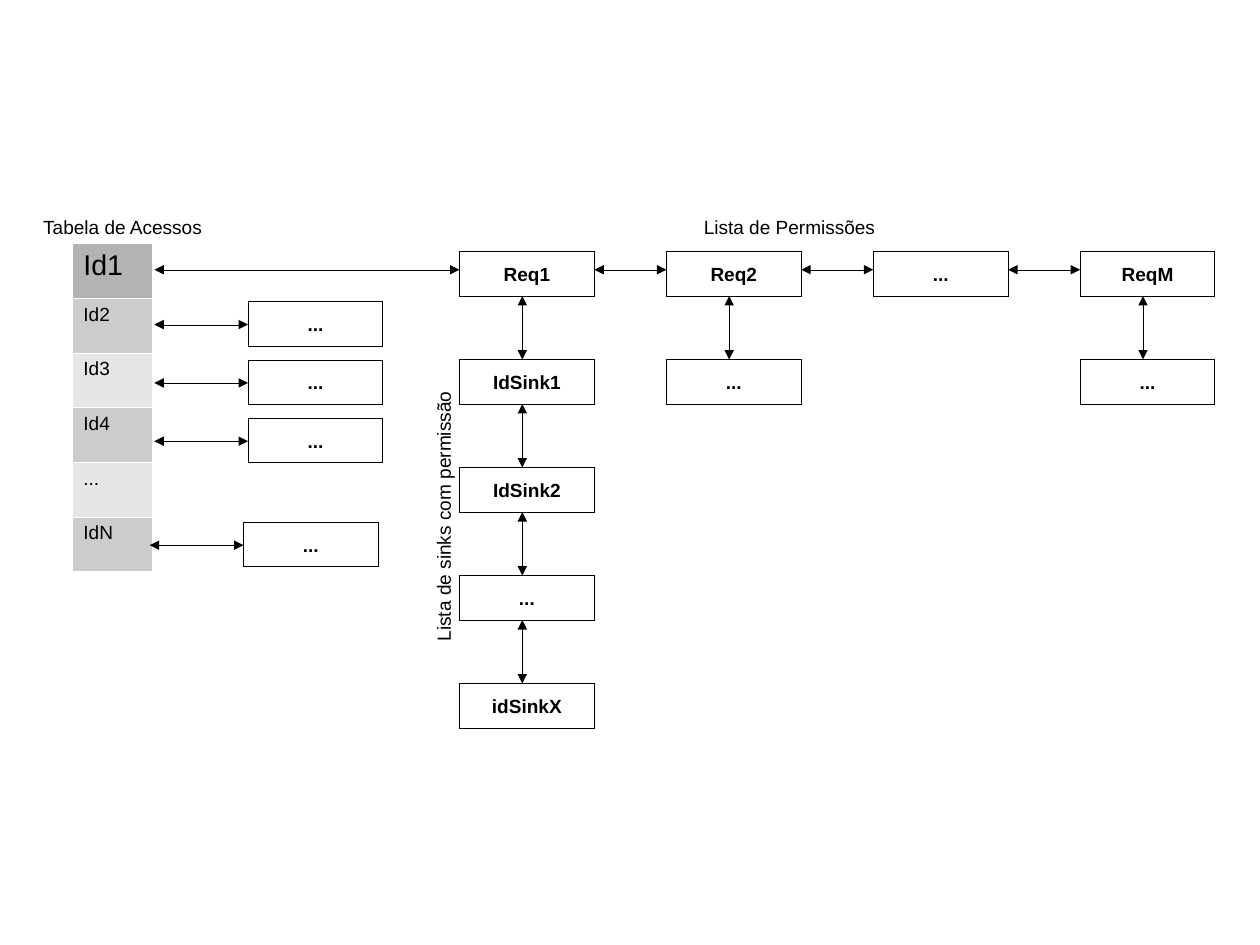
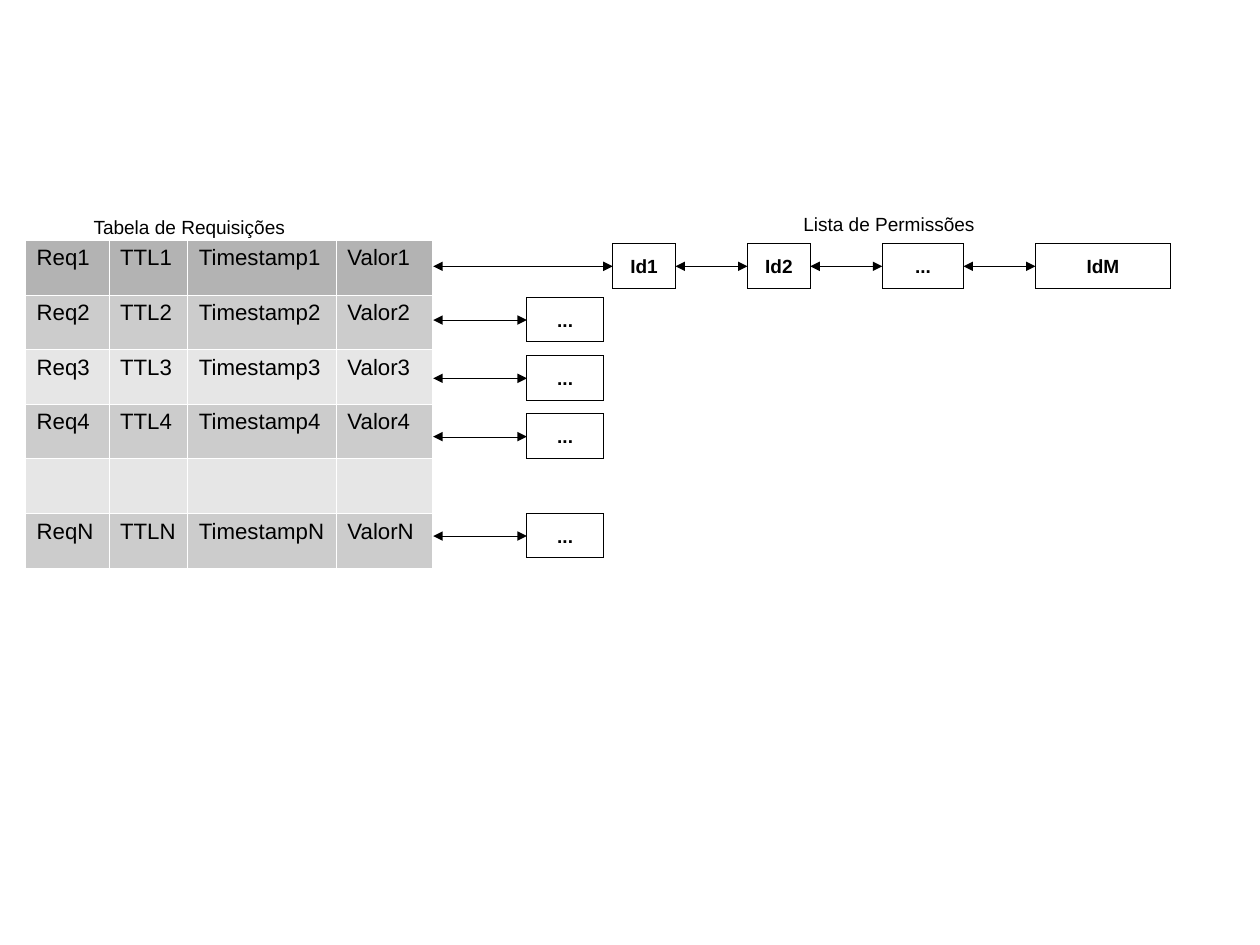
from dataclasses import dataclass
from typing import Any, NamedTuple

from lxml.etree import SubElement
from pptx import Presentation
from pptx.dml.color import RGBColor
from pptx.enum.shapes import MSO_CONNECTOR, MSO_SHAPE
from pptx.enum.text import MSO_ANCHOR, MSO_AUTO_SIZE, PP_ALIGN
from pptx.oxml import parse_xml
from pptx.oxml.ns import nsdecls, qn
from pptx.slide import Slide
from pptx.util import Inches, Pt


@dataclass(frozen=True)
class Theme:
    font: str = "Arial"
    ink: str = "000000"
    border: str = "FFFFFF"
    head_row: str = "B3B3B3"
    bands: tuple[str, str] = ("CCCCCC", "E6E6E6")
    body: int = 12
    table: int = 14
    large: int = 18


class Link(NamedTuple):
    text: str
    gap: float
    width: float


@dataclass(frozen=True)
class Chain:
    left: float
    top: float
    links: tuple[Link, ...]
    arrow_drop: float = 0.2


@dataclass(frozen=True)
class Stack:
    left: float
    texts: tuple[str, ...]


@dataclass(frozen=True)
class Label:
    text: str
    left: float
    top: float
    width: float
    rotation: float = 0


@dataclass(frozen=True)
class Grid:
    left: float
    top: float
    widths: tuple[float, ...]
    rows: tuple[tuple[str, ...], ...]
    head_size: int
    size: int


THEME = Theme()
CM_PER_INCH = 2.54
SLIDE_W = 28 / CM_PER_INCH
SLIDE_H = 21 / CM_PER_INCH
BOX_H = 0.39
BOX_W = 1.18
GAP = 0.63
LABEL_H = 0.29
ROW_H = 2.87 / 6
STACK_TOP = 2.2
STACK_STEP = 3.78 / 4
STACK_ARROW_X = 0.55


def apply(obj: Any, formats: dict[str, Any]) -> None:
    for name, value in formats.items():
        setattr(obj, name, value)


def write(tf: Any, text: str, size: int, bold: bool = False) -> None:
    r = tf.paragraphs[0].add_run()
    r.text = text
    apply(r.font, {"name": THEME.font, "size": Pt(size), "bold": bold})
    r.font.color.rgb = RGBColor.from_string(THEME.ink)


def set_hairline(sp: Any) -> Any:
    sp.line.color.rgb = RGBColor.from_string(THEME.ink)
    ln = sp._element.spPr.find(qn("a:ln"))
    ln.set("w", "0")
    return ln


def add_arrow(s: Slide, x1: float, y1: float, x2: float, y2: float) -> None:
    sp = s.shapes.add_connector(
        MSO_CONNECTOR.STRAIGHT, Inches(x1), Inches(y1), Inches(x2), Inches(y2)
    )
    ln = set_hairline(sp)
    for end in ("a:headEnd", "a:tailEnd"):
        SubElement(ln, qn(end), type="triangle", w="med", len="med")
    SubElement(sp._element.spPr, qn("a:effectLst"))


def add_box(s: Slide, text: str, left: float, top: float, width: float) -> None:
    sp = s.shapes.add_shape(
        MSO_SHAPE.RECTANGLE, Inches(left), Inches(top), Inches(width), Inches(BOX_H)
    )
    sp.shadow.inherit = False
    sp.fill.background()
    set_hairline(sp)
    tf = sp.text_frame
    apply(tf, {"word_wrap": False, "vertical_anchor": MSO_ANCHOR.MIDDLE})
    tf.paragraphs[0].alignment = PP_ALIGN.CENTER
    write(tf, text, THEME.body, bold=True)


def add_label(s: Slide, label: Label) -> None:
    sp = s.shapes.add_textbox(
        Inches(label.left), Inches(label.top), Inches(label.width), Inches(LABEL_H)
    )
    sp.rotation = label.rotation
    tf = sp.text_frame
    apply(tf, {"word_wrap": False, "auto_size": MSO_AUTO_SIZE.SHAPE_TO_FIT_TEXT})
    write(tf, label.text, THEME.body)


def add_chain(s: Slide, chain: Chain) -> None:
    x, y = chain.left, chain.top + chain.arrow_drop
    for link in chain.links:
        add_arrow(s, x, y, x + link.gap, y)
        x += link.gap
        add_box(s, link.text, x, chain.top, link.width)
        x += link.width


def add_stack(s: Slide, stack: Stack) -> None:
    x = stack.left + STACK_ARROW_X
    for i, text in enumerate(stack.texts, 1):
        top = STACK_TOP + i * STACK_STEP
        add_arrow(s, x, top - STACK_STEP + BOX_H, x, top)
        add_box(s, text, stack.left, top, BOX_W)


def set_borders(cell: Any) -> None:
    tc_pr = cell._tc.get_or_add_tcPr()
    for i, side in enumerate(("lnL", "lnR", "lnT", "lnB")):
        tc_pr.insert(i, parse_xml(
            f'<a:{side} {nsdecls("a")} w="{Pt(0.06)}"><a:solidFill>'
            f'<a:srgbClr val="{THEME.border}"/></a:solidFill></a:{side}>'
        ))


def add_grid(s: Slide, grid: Grid) -> None:
    n = len(grid.rows)
    table = s.shapes.add_table(
        n, len(grid.widths), Inches(grid.left), Inches(grid.top),
        Inches(sum(grid.widths)), Inches(n * ROW_H),
    ).table
    apply(table, {"first_row": False, "horz_banding": False})
    for column, width in zip(table.columns, grid.widths):
        column.width = Inches(width)
    for i, texts in enumerate(grid.rows):
        table.rows[i].height = Inches(ROW_H)
        color = THEME.bands[(i - 1) % 2] if i else THEME.head_row
        for j, text in enumerate(texts):
            cell = table.cell(i, j)
            cell.fill.solid()
            cell.fill.fore_color.rgb = RGBColor.from_string(color)
            set_borders(cell)
            if text:
                write(cell.text_frame, text, grid.size if i else grid.head_size)


def side_chain(left: float, top: float, width: float) -> Chain:
    return Chain(left, top, (Link("...", 0.82, width),))


def add_accesses(s: Slide) -> None:
    ids = ("Id1", "Id2", "Id3", "Id4", "...", "IdN")
    add_grid(s, Grid(0.63, 2.13, (0.7,), tuple((i,) for i in ids),
                     THEME.large, THEME.body))
    add_label(s, Label("Tabela de Acessos", 0.28, 1.84, 1.59))
    add_label(s, Label("Lista de Permissões", 6.06, 1.84, 1.7))
    add_label(s, Label("Lista de sinks com permissão", 2.68, 4.37, 2.39, 270))
    requests = (Link("Req1", 2.67, BOX_W),) + tuple(
        Link(text, GAP, BOX_W) for text in ("Req2", "...", "ReqM")
    )
    add_chain(s, Chain(1.35, STACK_TOP, requests, 0.16))
    for left, top in ((1.35, 2.64), (1.35, 3.15), (1.35, 3.66), (1.31, 4.57)):
        add_chain(s, side_chain(left, top, BOX_W))
    for stack in (
        Stack(4.02, ("IdSink1", "IdSink2", "...", "idSinkX")),
        Stack(5.83, ("...",)),
        Stack(9.45, ("...",)),
    ):
        add_stack(s, stack)


def add_requests(s: Slide) -> None:
    fields = ("Req", "TTL", "Timestamp", "Valor")
    rows = tuple(
        tuple(field + key if key else "" for field in fields)
        for key in ("1", "2", "3", "4", "", "N")
    )
    add_grid(s, Grid(0.22, 2.1, (0.73, 0.69, 1.3, 0.84), rows,
                     THEME.table, THEME.table))
    add_label(s, Label("Tabela de Requisições", 0.72, 1.84, 1.88))
    add_label(s, Label("Lista de Permissões", 6.93, 1.81, 1.7))
    add_chain(s, Chain(3.79, 2.13, (
        Link("Id1", 1.57, 0.55),
        Link("Id2", GAP, 0.55),
        Link("...", GAP, 0.71),
        Link("IdM", GAP, BOX_W),
    )))
    for top in (2.6, 3.11, 3.62, 4.49):
        add_chain(s, side_chain(3.79, top, 0.67))


def main() -> None:
    prs = Presentation()
    apply(prs, {"slide_width": Inches(SLIDE_W), "slide_height": Inches(SLIDE_H)})
    for build in (add_accesses, add_requests):
        build(prs.slides.add_slide(prs.slide_layouts[6]))
    prs.save("out.pptx")


if __name__ == "__main__":
    main()
